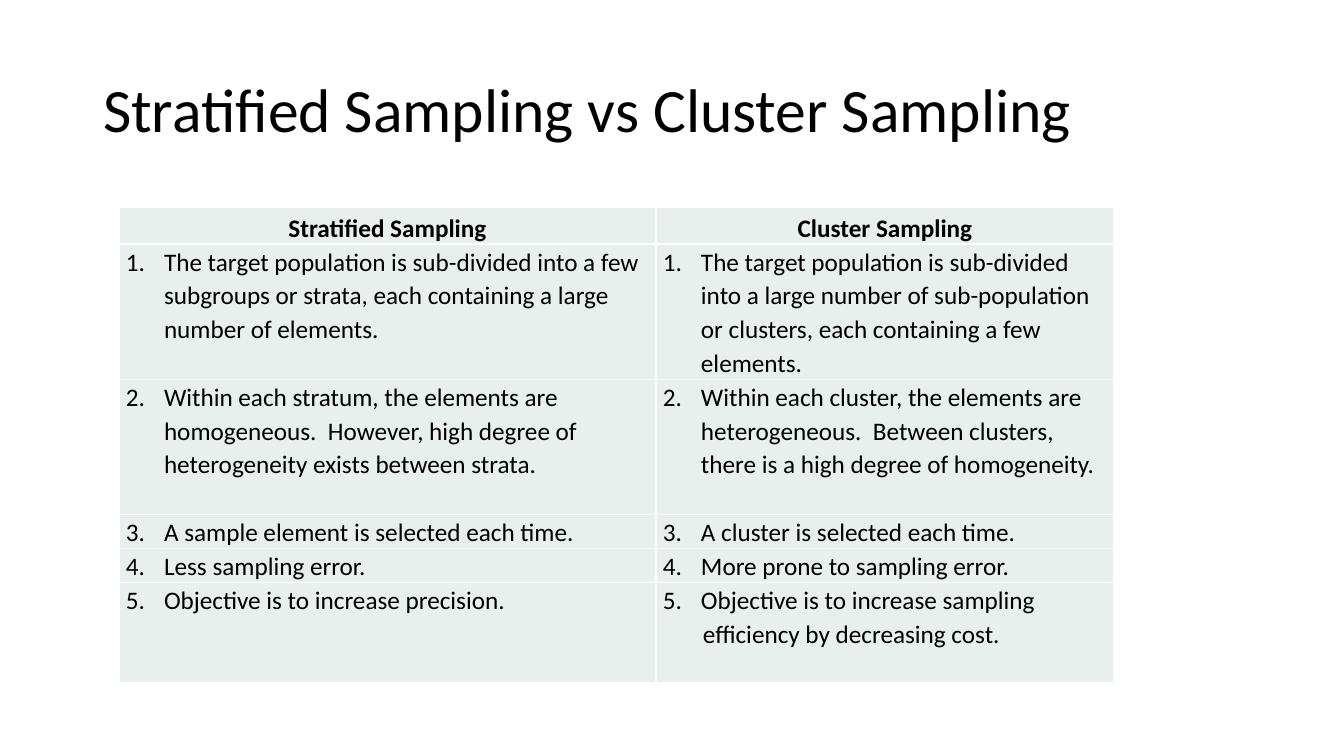
from pptx import Presentation
from pptx.dml.color import RGBColor as Rgb
from pptx.enum.text import MSO_ANCHOR as Anchor, PP_ALIGN as Align
from pptx.oxml import parse_xml as to_xml
from pptx.oxml.ns import nsdecls
from pptx.util import Pt

SCALE = 914400 / 100.8
COLORS = {"text": "000000", "cell": "E8EFEC", "edge": "FFFFFF"}
HEADS = ["Stratified Sampling", "Cluster Sampling"]
POINTS = [
    ["The target population is sub-divided into a few subgroups or strata, each containing a large "
     "number of elements.",
     "The target population is sub-divided into a large number of sub-population or clusters, each "
     "containing a few elements."],
    ["Within each stratum, the elements are homogeneous.  However, high degree of heterogeneity "
     "exists between strata.",
     "Within each cluster, the elements are heterogeneous.  Between clusters, there is a high degree "
     "of homogeneity."],
    ["A sample element is selected each time.", "A cluster is selected each time."],
    ["Less sampling error.", "More prone to sampling error."],
    ["Objective is to increase precision.",
     "Objective is to increase sampling\nefficiency by decreasing cost."],
]
WIDTHS = [537, 458]
HEIGHTS = [36, 135, 135, 34, 34, 100]


def px(n):
    return round(n * SCALE)


class Deck:
    font = "Calibri"

    def __init__(self, wide, high):
        self.file = Presentation()
        self.file.slide_width, self.file.slide_height = px(wide), px(high)
        self.slide = self.file.slides.add_slide(self.file.slide_layouts[5])

    def style(self, par, size, space, align=Align.LEFT, bold=False):
        par.alignment, par.line_spacing = align, space
        font = par.font
        font.name, font.size, font.bold = self.font, Pt(size), bold
        font.color.rgb = Rgb.from_string(COLORS["text"])

    def title(self, text, *box):
        shape = self.slide.shapes.title
        shape.left, shape.top, shape.width, shape.height = map(px, box)
        frame = shape.text_frame
        frame.text, frame.vertical_anchor = text, Anchor.MIDDLE
        self.style(frame.paragraphs[0], 44, 0.9)

    def number(self, par, start):
        props = par._p.get_or_add_pPr()
        props.set("marL", str(px(38)))
        props.set("indent", str(px(-38)))
        props.append(to_xml(f'<a:buAutoNum {nsdecls("a")} type="arabicPeriod" startAt="{start}"/>'))

    def border(self, cell):
        props = cell._tc.get_or_add_tcPr()
        for side in "LRTB":
            props.append(to_xml(
                f'<a:ln{side} {nsdecls("a")} w="{Pt(1)}"><a:solidFill>'
                f'<a:srgbClr val="{COLORS["edge"]}"/></a:solidFill></a:ln{side}>'))

    def cell(self, cell, text, row):
        self.border(cell)
        cell.fill.solid()
        cell.fill.fore_color.rgb = Rgb.from_string(COLORS["cell"])
        cell.margin_left = cell.margin_right = px(7)
        cell.margin_top = cell.margin_bottom = 0
        cell.text = text
        first, *rest = cell.text_frame.paragraphs
        if row:
            self.number(first, row)
            self.style(first, 18, 1.1)
        else:
            self.style(first, 18, 1.2, Align.CENTER, True)
        for par in rest:
            par._p.get_or_add_pPr().set("marL", str(px(40)))
            self.style(par, 18, 1.1)

    def table(self, rows, left, top, widths, heights):
        table = self.slide.shapes.add_table(
            len(heights), len(widths), px(left), px(top), px(sum(widths)), px(sum(heights))).table
        table.first_row = table.horz_banding = False
        for col, wide in zip(table.columns, widths):
            col.width = px(wide)
        for i, (row, high) in enumerate(zip(table.rows, heights)):
            row.height = px(high)
            for cell, text in zip(row.cells, rows[i]):
                self.cell(cell, text, i)


deck = Deck(1344, 756)
deck.title("Stratified Sampling vs Cluster Sampling", 93, 40, 1159, 146)
deck.table([HEADS, *POINTS], 119, 207, WIDTHS, HEIGHTS)
deck.file.save("out.pptx")
